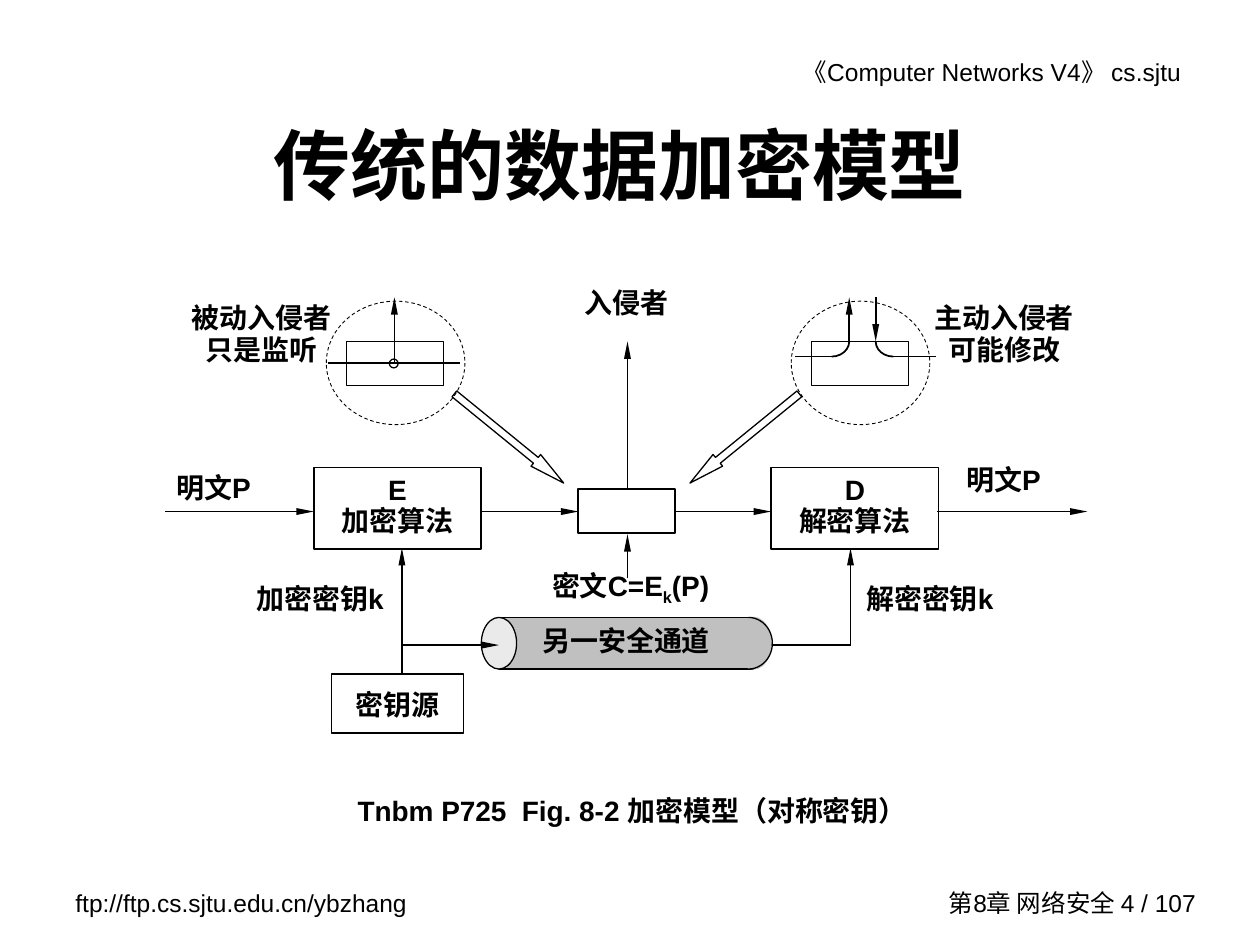
import pptx
import pptx.util
import pptx.dml.color
import pptx.enum.dml
import pptx.enum.shapes
import pptx.enum.text
import pptx.oxml.ns
import lxml.etree

Inches = pptx.util.Inches
Pt = pptx.util.Pt
RGB = pptx.dml.color.RGBColor
Kind = pptx.enum.shapes.MSO_SHAPE
Align = pptx.enum.text.PP_ALIGN
Anchor = pptx.enum.text.MSO_ANCHOR

BLACK = RGB(0, 0, 0)
WHITE = RGB(255, 255, 255)
GRAY = RGB(0xC0, 0xC0, 0xC0)
PALE = RGB(0xEA, 0xEA, 0xEA)
TIGHT = (0.04, 0.04)
ROOMY = (0.1, 0.05)


def write(shape, text, size=16, bold=True, font="Arial", align=Align.CENTER,
          gap=0.96, pad=TIGHT, anchor=Anchor.TOP):
    frame = shape.text_frame
    frame.word_wrap = True
    frame.vertical_anchor = anchor
    frame.margin_left = frame.margin_right = Inches(pad[0])
    frame.margin_top = frame.margin_bottom = Inches(pad[1])
    frame.text = text
    for para in frame.paragraphs:
        para.alignment = align
        para.line_spacing = gap
        for run in para.runs:
            run.font.size = Pt(size)
            run.font.bold = bold
            run.font.name = font
            run.font.color.rgb = BLACK
    return shape


def label(slide, x, y, w, h, text, **style):
    box = slide.shapes.add_textbox(Inches(x), Inches(y), Inches(w), Inches(h))
    return write(box, text, **style)


def draw(slide, kind, x, y, w, h, width=1, fill=None, ink=BLACK):
    shape = slide.shapes.add_shape(kind, Inches(x), Inches(y), Inches(w), Inches(h))
    shape.shadow.inherit = False
    if fill is None:
        shape.fill.background()
    else:
        shape.fill.solid()
        shape.fill.fore_color.rgb = fill
    shape.line.color.rgb = ink
    shape.line.width = Pt(width)
    return shape


def curve(slide, x, y, rx, ry, start, end, width=1):
    arc = draw(slide, Kind.ARC, x - rx, y - ry, 2 * rx, 2 * ry, width)
    arc.adjustments[0] = start * 0.6
    arc.adjustments[1] = end * 0.6


def wire(slide, x1, y1, x2, y2, width=1, arrow=False):
    line = slide.shapes.add_connector(
        pptx.enum.shapes.MSO_CONNECTOR.STRAIGHT,
        Inches(x1), Inches(y1), Inches(x2), Inches(y2))
    line.line.color.rgb = BLACK
    line.line.width = Pt(width)
    qn = pptx.oxml.ns.qn
    if arrow:
        lxml.etree.SubElement(line.line._get_or_add_ln(), qn("a:tailEnd"),
                              type="triangle", w="sm", len="lg")
    lxml.etree.SubElement(line._element.spPr, qn("a:effectLst"))


def frame_text(slide, x, y, w, h):
    small = dict(size=14, bold=False, gap=1, pad=ROOMY)
    label(slide, x + w - 4.78, y + 0.4, 4.25, 0.34, "《Computer Networks V4》 cs.sjtu",
          align=Align.RIGHT, **small)
    label(slide, x + 0.5, y + h - 0.5, 2.92, 0.34, "ftp://ftp.cs.sjtu.edu.cn/ybzhang",
          align=Align.LEFT, **small)
    label(slide, x + w - 2.82, y + h - 0.5, 2.41, 0.33, "第8章 网络安全 4 / 107",
          align=Align.RIGHT, anchor=Anchor.MIDDLE, **small)
    label(slide, x + 0.67, y + 0.67, w - 1.5, 1.25, "传统的数据加密模型", size=44,
          font="Noto Sans CJK SC", gap=1, pad=ROOMY, anchor=Anchor.MIDDLE)
    label(slide, x + 2.74, y + 6.17, 4.63, 0.5, "Tnbm P725  Fig. 8-2 加密模型（对称密钥）",
          align=Align.LEFT, gap=1.3, pad=ROOMY)


def flow(slide, x, y, w):
    mid = y + 0.35
    for left, text in ((1.18, "E\n加密算法"), (4.81, "D\n解密算法")):
        block = draw(slide, Kind.RECTANGLE, x + left, y, 1.33, 0.65)
        write(block, text).text_frame.paragraphs[0].line_spacing = 1
    draw(slide, Kind.RECTANGLE, x + 3.28, y + 0.17, 0.77, 0.35)
    for start, end in ((0, 1.18), (2.51, 3.28), (4.05, 4.81), (6.13, w)):
        wire(slide, x + start, mid, x + end, mid, arrow=True)
    wire(slide, x + 3.67, y + 0.17, x + 3.67, y - 1, arrow=True)
    wire(slide, x + 3.67, y + 0.88, x + 3.67, y + 0.53, arrow=True)
    label(slide, x - 0.14, y, 1.05, 0.47, "明文P")
    label(slide, x + 6.13, y - 0.06, 1.05, 0.47, "明文P")
    label(slide, x + 3.14, y - 1.47, 1.05, 0.47, "入侵者")
    code = label(slide, x + 2.86, y + 0.76, 1.67, 0.47, "密文C=E")
    para = code.text_frame.paragraphs[0]
    for text in ("k", "(P)"):
        run = para.add_run()
        run.text = text
        run.font.size = Pt(16)
        run.font.bold = True
        run.font.name = "Arial"
        run.font.color.rgb = BLACK
    para.runs[1].font._element.set("baseline", "-25000")


def keys(slide, x, y):
    turn = y + 0.77
    wire(slide, x + 1.28, y + 1, x + 1.28, y, arrow=True)
    wire(slide, x + 4.21, turn, x + 4.84, turn)
    wire(slide, x + 4.84, turn, x + 4.84, y, arrow=True)
    source = draw(slide, Kind.RECTANGLE, x + 0.72, y + 1, 1.05, 0.47)
    write(source, "密钥源", gap=1.06, anchor=Anchor.MIDDLE)
    label(slide, x, y + 0.24, 1.26, 0.47, "加密密钥k")
    label(slide, x + 4.84, y + 0.24, 1.26, 0.47, "解密密钥k")
    tunnel(slide, x + 1.91, y + 0.55, 2.3, 0.41)
    wire(slide, x + 1.28, turn, x + 2.05, turn, arrow=True)


def tunnel(slide, x, y, w, h):
    body = draw(slide, Kind.RECTANGLE, x + 0.14, y, w - 0.28, h, 0.75, GRAY)
    write(body, "另一安全通道", font="Times New Roman", gap=1, pad=ROOMY)
    draw(slide, Kind.OVAL, x + w - 0.28, y, 0.28, h, 0.75, GRAY, GRAY)
    draw(slide, Kind.OVAL, x, y, 0.28, h, 0.75, PALE)
    curve(slide, x + w - 0.18, y + h / 2, 0.19, h / 2, 270, 90, 0.75)


def lens(slide, x, y, width, note, left, text, tilt, shift):
    arrow = draw(slide, Kind.UP_ARROW, x + shift, y + 0.53, 0.12, 1.12, 0.75, WHITE)
    arrow.adjustments[0] = 0.5
    arrow.adjustments[1] = 2.38
    arrow.rotation = tilt
    label(slide, x + left, y - 0.03, note, 0.71, text)
    draw(slide, Kind.RECTANGLE, x + 0.16, y + 0.32, 0.77, 0.35, width)
    ring = draw(slide, Kind.OVAL, x, y, 1.1, 0.98, 0.5)
    ring.line.dash_style = pptx.enum.dml.MSO_LINE.DASH


def listen(slide, x, y):
    lens(slide, x, y, 0.75, 1.39, -1.21, "被动入侵者只是监听", 129.2, 1.39)
    wire(slide, x + 0.01, y + 0.49, x + 1.06, y + 0.49, 0.75)
    wire(slide, x + 0.54, y + 0.5, x + 0.54, y - 0.03, 0.75, True)
    draw(slide, Kind.OVAL, x + 0.5, y + 0.46, 0.07, 0.07, 0.75)


def tamper(slide, x, y):
    lens(slide, x, y, 1, 1.4, 0.99, "主动入侵者可能修改", 230.8, -0.43)
    top, bend, low = y - 0.03, y + 0.32, y + 0.44
    wire(slide, x + 0.46, bend, x + 0.46, top, arrow=True)
    wire(slide, x + 0.67, top, x + 0.67, bend, arrow=True)
    wire(slide, x + 0.03, low, x + 0.32, low)
    wire(slide, x + 0.81, low, x + 1.15, low)
    curve(slide, x + 0.32, bend, 0.14, 0.12, 0, 90)
    curve(slide, x + 0.81, bend, 0.14, 0.12, 90, 180)


def main():
    deck = pptx.Presentation()
    deck.slide_width = Inches(10)
    deck.slide_height = Inches(7.5)
    slide = deck.slides.add_slide(deck.slide_layouts[6])
    frame_text(slide, 0, 0, 10, 7.5)
    flow(slide, 1.31, 3.71, 7.32)
    keys(slide, 1.91, 4.35)
    listen(slide, 2.59, 2.39)
    tamper(slide, 6.28, 2.39)
    deck.save("out.pptx")


if __name__ == "__main__":
    main()
